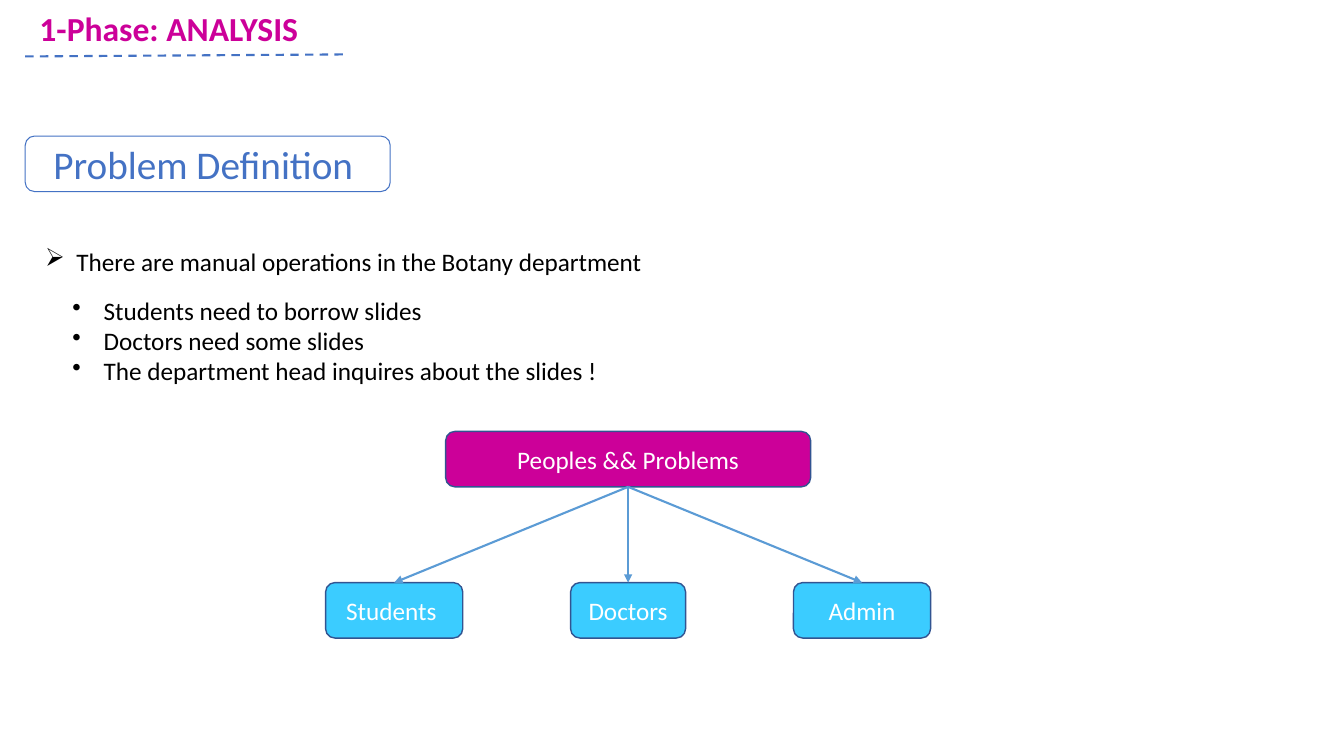
from dataclasses import dataclass

from lxml import etree
from pptx import Presentation
from pptx.dml.color import RGBColor
from pptx.enum.dml import MSO_LINE
from pptx.enum.shapes import MSO_CONNECTOR, MSO_SHAPE
from pptx.enum.text import MSO_ANCHOR, MSO_AUTO_SIZE, PP_ALIGN
from pptx.oxml.ns import qn
from pptx.util import Pt

PX = 9144  # EMU per px, 100 px to the inch
ROUND = MSO_SHAPE.ROUNDED_RECTANGLE
STRAIGHT = MSO_CONNECTOR.STRAIGHT
DASH = MSO_LINE.DASH
MIDDLE, TOP = MSO_ANCHOR.MIDDLE, MSO_ANCHOR.TOP
LEFT, CENTER = PP_ALIGN.LEFT, PP_ALIGN.CENTER
GROW = MSO_AUTO_SIZE.SHAPE_TO_FIT_TEXT
BOTTOM_SITE, TOP_SITE = 2, 0


@dataclass(frozen=True)
class Theme:
    font: str = "Calibri"
    pink: str = "CC0099"
    blue: str = "4472C4"
    sky: str = "3BCCFF"
    navy: str = "325491"
    arrow: str = "5B9BD5"
    black: str = "000000"
    white: str = "FFFFFF"
    title: int = 24
    head: int = 28
    body: int = 18


THEME = Theme()


def rgb(code):
    return RGBColor.from_string(code)


def emu(*sizes):
    return [size * PX for size in sizes]


def write(frame, lines, size=THEME.body, color=THEME.black, bold=False,
          align=LEFT, anchor=TOP, bullet=None, indent=31):
    frame.word_wrap = True
    frame.vertical_anchor = anchor
    for i, line in enumerate(lines):
        para = frame.paragraphs[0] if i == 0 else frame.add_paragraph()
        para.alignment = align
        run = para.add_run()
        run.text = line
        font = run.font
        font.name, font.size, font.bold = THEME.font, Pt(size), bold
        font.color.rgb = rgb(color)
        if bullet:
            props = para._p.get_or_add_pPr()
            props.set("marL", str(indent * PX))
            props.set("indent", str(-indent * PX))
            etree.SubElement(props, qn("a:buChar")).set("char", bullet)


def add_text(slide, box, lines, **style):
    frame = slide.shapes.add_textbox(*emu(*box)).text_frame
    write(frame, lines, **style)
    frame.auto_size = GROW


def add_box(slide, box, label, fill=None, line=THEME.navy, width=1, **style):
    shape = slide.shapes.add_shape(ROUND, *emu(*box))
    shape.shadow.inherit = False
    if fill:
        shape.fill.solid()
        shape.fill.fore_color.rgb = rgb(fill)
    else:
        shape.fill.background()
    shape.line.color.rgb = rgb(line)
    shape.line.width = Pt(width)
    write(shape.text_frame, [label], align=CENTER, anchor=MIDDLE, **style)
    return shape


def add_line(slide, ends, color, dash=None):
    link = slide.shapes.add_connector(STRAIGHT, *emu(*ends))
    link.line.color.rgb = rgb(color)
    link.line.width = Pt(1.5)
    if dash:
        link.line.dash_style = dash
    etree.SubElement(link._element.spPr, qn("a:effectLst"))
    return link


def add_arrow(slide, start, end):
    """Link the bottom of one box to the top of another."""
    link = add_line(slide, (0, 0, 0, 0), THEME.arrow)
    link.begin_connect(start, BOTTOM_SITE)
    link.end_connect(end, TOP_SITE)
    tail = etree.SubElement(link.line._get_or_add_ln(), qn("a:tailEnd"))
    tail.set("type", "triangle")


def phase(slide, box):
    x, y, w, h = box
    add_text(slide, (x, y, w - 32, h), ["1-Phase: ANALYSIS"],
             size=THEME.title, color=THEME.pink, bold=True, align=CENTER)
    add_line(slide, (x, y + h + 3, x + w, y + h + 1), THEME.blue, DASH)


def problem(slide, box):
    x, y, w, h = box
    add_box(slide, (x, y, 362, 55), "Problem Definition ", line=THEME.blue,
            width=0.75, size=THEME.head, color=THEME.blue)
    add_text(slide, (x + 10, y + 104, w - 10, 40),
             ["There are manual operations in the Botany department"],
             bullet="➢")
    add_text(slide, (x + 37, y + 153, w - 76, h - 153),
             ["Students need to borrow slides",
              "Doctors need some slides",
              "The department head inquires about the slides !"],
             bullet="•")


def tree(slide, box):
    """Place a root box over three leaves whose middles are evenly spaced."""
    x, y, w, h = box
    tall, side = 55, 136
    mid, step = x + w // 2, (w - side) // 2
    root = add_box(slide, (mid - 181, y, 362, tall), "Peoples && Problems",
                   fill=THEME.pink, color=THEME.white)
    leaves = [("Students ", side), ("Doctors", 114), ("Admin", side)]
    for i, (label, wide) in enumerate(leaves):
        left = mid + (i - 1) * step - wide // 2
        leaf = add_box(slide, (left, y + h - tall, wide, tall), label,
                       fill=THEME.sky, color=THEME.white)
        add_arrow(slide, root, leaf)


def main():
    deck = Presentation()
    deck.slide_width, deck.slide_height = emu(1333, 750)
    slide = deck.slides.add_slide(deck.slide_layouts[6])
    phase(slide, (25, 3, 317, 50))
    problem(slide, (25, 135, 629, 254))
    tree(slide, (323, 428, 600, 205))
    deck.save("out.pptx")


if __name__ == "__main__":
    main()
